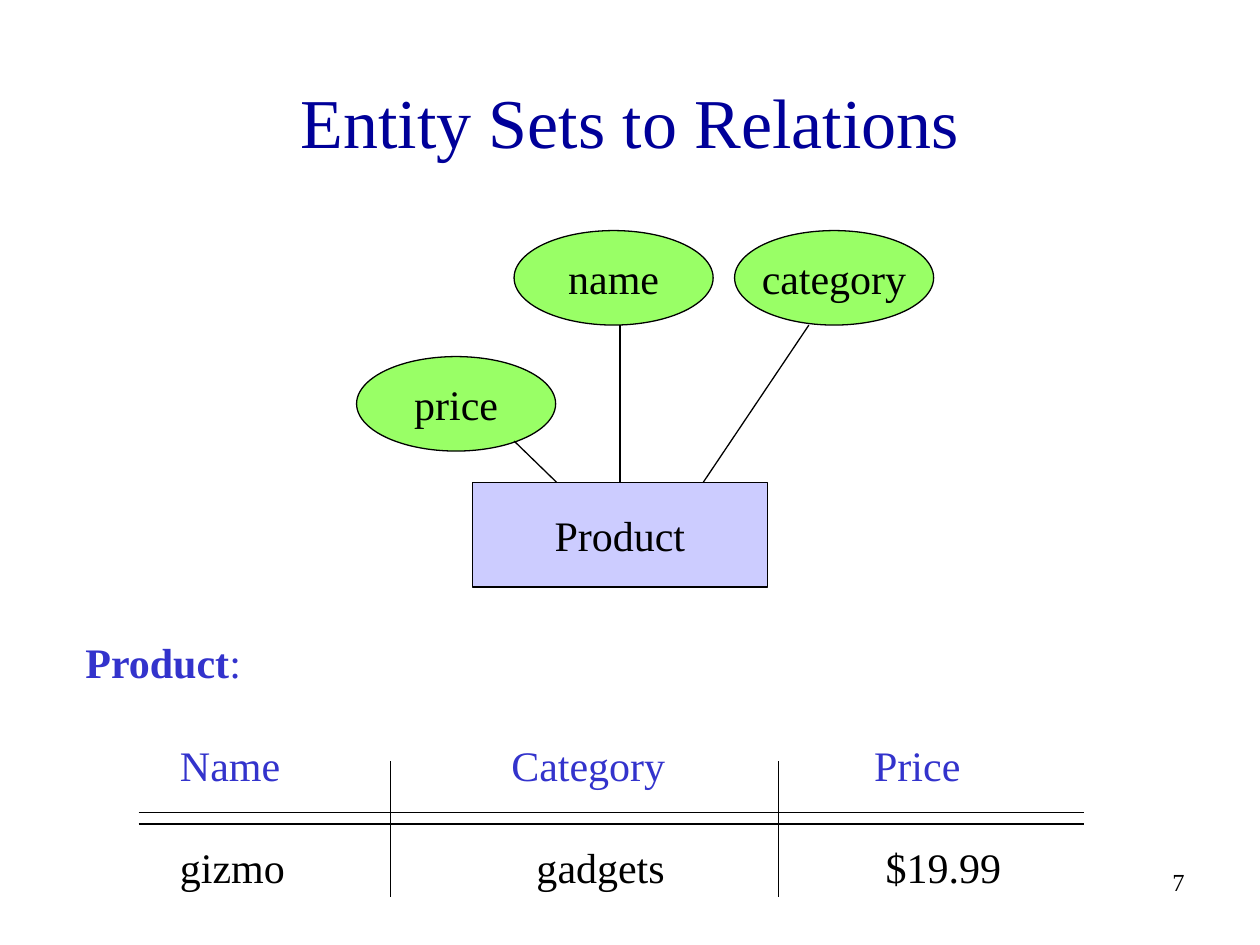
from lxml import etree
from pptx import Presentation
from pptx.dml.color import RGBColor
from pptx.enum.shapes import MSO_CONNECTOR as Connector, MSO_SHAPE as Shape
from pptx.enum.text import MSO_ANCHOR as Anchor, PP_ALIGN as Align
from pptx.oxml.ns import qn
from pptx.util import Inches, Pt

FONT = "Times New Roman"
COLORS = {
    "title": "000099",
    "heading": "3333CC",
    "ink": "000000",
    "entity": "CCCCFF",
    "attribute": "99FF66",
}


def color(name):
    return RGBColor.from_string(COLORS[name])


def add_span(para, text, size=24, ink="ink", bold=False):
    span = para.add_run()
    span.text = text
    span.font.name = FONT
    span.font.size = Pt(size)
    span.font.bold = bold
    span.font.color.rgb = color(ink)


def add_text(page, at, text, align=Align.LEFT, anchor=Anchor.TOP, **style):
    """Add a wrapping text box and return its text frame."""
    frame = page.shapes.add_textbox(*map(Inches, at)).text_frame
    frame.word_wrap = True
    frame.vertical_anchor = anchor
    frame.paragraphs[0].alignment = align
    add_span(frame.paragraphs[0], text, **style)
    return frame


def add_node(page, kind, at, text, fill):
    node = page.shapes.add_shape(kind, *map(Inches, at))
    node.shadow.inherit = False
    node.fill.solid()
    node.fill.fore_color.rgb = color(fill)
    node.line.color.rgb = color("ink")
    node.line.width = Pt(0.75)
    frame = node.text_frame
    frame.word_wrap = False
    frame.vertical_anchor = Anchor.MIDDLE
    frame.paragraphs[0].alignment = Align.CENTER
    add_span(frame.paragraphs[0], text)
    return node


def add_line(page, start, end):
    line = page.shapes.add_connector(
        Connector.STRAIGHT, *map(Inches, (*start, *end)))
    line.line.color.rgb = color("ink")
    line.line.width = Pt(0.75)
    etree.SubElement(line._element.spPr, qn("a:effectLst"))
    return line


def add_row(frame, cells, stops, ink):
    """Add a relation row whose cells start at the given tab stops."""
    para = frame.add_paragraph()
    para.space_before = Pt(30)
    tabs = etree.SubElement(para._p.get_or_add_pPr(), qn("a:tabLst"))
    for stop in stops:
        etree.SubElement(tabs, qn("a:tab"), pos=str(Inches(stop)), algn="l")
    add_span(para, "".join("\t" + cell for cell in cells), ink=ink)


def add_diagram(page):
    product = add_node(page, Shape.RECTANGLE, (3.75, 3.83, 2.34, 0.83),
                       "Product", "entity")
    for text, left, top in (("name", 4.08, 1.83), ("category", 5.83, 1.83),
                            ("price", 2.83, 2.83)):
        add_node(page, Shape.OVAL, (left, top, 1.58, 0.75), text, "attribute")
    add_line(page, (4.42, 3.83), (4.08, 3.5))
    name_line = add_line(page, (4.92, 3.83), (4.92, 2.58))
    name_line.begin_connect(product, 0)
    add_line(page, (5.58, 3.83), (6.42, 2.58))


def add_relation(page):
    frame = add_text(page, (0.58, 5, 7.5, 2.1), "Product",
                     ink="heading", bold=True)
    add_span(frame.paragraphs[0], ":", ink="heading")
    add_row(frame, ("Name", "Category", "Price"), (0.75, 3.38, 6.26), "heading")
    add_row(frame, ("gizmo", "gadgets", "$19.99"), (0.75, 3.58, 6.35), "ink")
    for y in (6.45, 6.54):
        add_line(page, (1.1, y), (8.6, y))
    for x in (3.1, 6.18):
        add_line(page, (x, 6.04), (x, 7.12))


def main():
    deck = Presentation()
    deck.slide_width, deck.slide_height = Inches(10), Inches(7.5)
    page = deck.slides.add_slide(deck.slide_layouts[6])
    add_text(page, (7.42, 6.83, 2.08, 0.5), "7", align=Align.RIGHT, size=14)
    add_text(page, (0.75, 0.33, 8.5, 1.25), "Entity Sets to Relations",
             align=Align.CENTER, anchor=Anchor.MIDDLE, size=40, ink="title")
    add_diagram(page)
    add_relation(page)
    deck.save("out.pptx")


if __name__ == "__main__":
    main()
